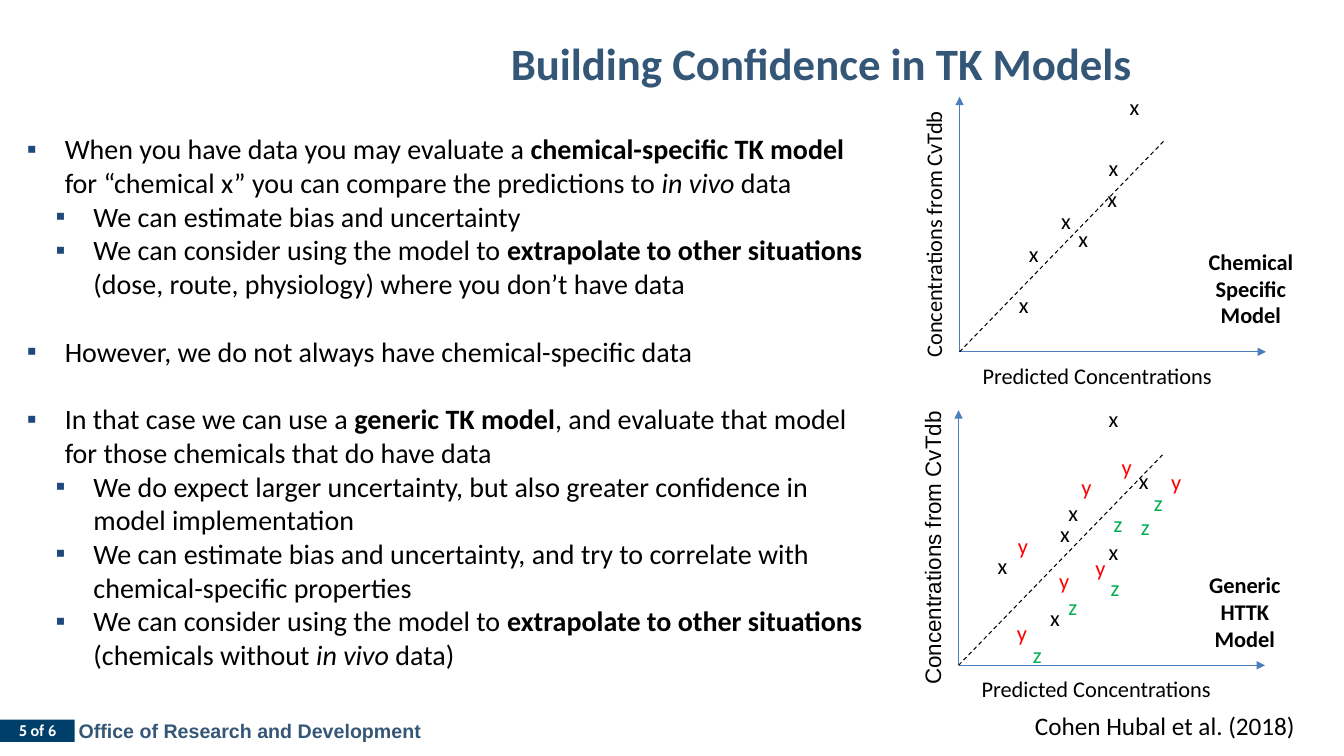
"""Build the slide on building confidence in TK models."""
import pptx
import pptx.dml.color
import pptx.enum.dml
import pptx.enum.shapes
import pptx.enum.text
import pptx.oxml
import pptx.oxml.ns
import pptx.util

Pt = pptx.util.Pt
RGB = pptx.dml.color.RGBColor
ALIGN = pptx.enum.text.PP_ALIGN
ANCHOR = pptx.enum.text.MSO_ANCHOR
AUTO = pptx.enum.text.MSO_AUTO_SIZE

BLACK, WHITE = RGB(0, 0, 0), RGB(255, 255, 255)
NAVY, SLATE = RGB(0x00, 0x3F, 0x69), RGB(0x35, 0x57, 0x77)
AXIS_BLUE, RED, GREEN = RGB(0x4B, 0x7E, 0xBC), RGB(255, 0, 0), RGB(0x00, 0xB0, 0x50)
BULLET_HEX = "1F497D"

BODY_SIZE, LINE_GAP = 20, 24.4
# (level, space before, runs of (text, style))
BULLETS = [
    (0, 0, [("When you have data you may evaluate a", ""), (" chemical-specific TK model", "b"),
            (" for “chemical x” you can compare the predictions to ", ""),
            ("in vivo", "i"), (" data", "")]),
    (1, 0, [("We can estimate bias and uncertainty", "")]),
    (1, 0, [("We can consider using the model to ", ""), ("extrapolate to other situations ", "b"),
            ("(dose, route, physiology) where you don’t have data", "")]),
    (0, LINE_GAP, [("However, we do not always have chemical-specific data", "")]),
    (0, LINE_GAP, [("In that case we can use a", ""), (" generic TK model", "b"),
                   (", and evaluate that model for those chemicals that do have data", "")]),
    (1, 0, [("We do expect larger uncertainty, but also greater confidence in "
             "model implementation", "")]),
    (1, 0, [("We can estimate bias and uncertainty, and try to correlate with "
             "chemical-specific properties", "")]),
    (1, 0, [("We can consider using the model to ", ""), ("extrapolate to other situations ", "b"),
            ("(chemicals without ", ""), ("in vivo", "i"), (" data)", "")]),
]

MARKER_COLORS = {"x": BLACK, "y": RED, "z": GREEN}
PANELS = [
    {"origin": (685.4, 251.3), "label": "Chemical Specific Model", "label_at": (153.4, 77.8),
     "y_font": "Calibri", "y_length": 193,
     "markers": {"x": [(99.4, 144.7), (98.6, 122.4), (42.5, 83.5), (65.5, 106.6),
                       (77.8, 94.3), (35.3, 46.8), (114.5, 188.6)]}},
    {"origin": (684.7, 475.2), "label": "Generic\nHTTK\nModel", "label_at": (149.8, 70.6),
     "y_font": "Arial", "y_length": 212.4,
     "markers": {"x": [(121.7, 145.4), (71.3, 122.4), (20.9, 84.2), (65.5, 107.3),
                       (100.1, 94.3), (58.3, 47.5), (100.1, 189.4)],
                 "y": [(34.6, 36.7), (35.3, 98.6), (64.8, 73.4), (90.7, 82.8),
                       (80.6, 141.1), (109.4, 154.8), (144.7, 144)],
                 "z": [(71.3, 55.4), (103.7, 114.5), (123.1, 112.3), (132.5, 129.6),
                       (101.5, 68.4), (46.1, 20.9)]}},
]
X_AXIS, Y_AXIS = (218.9, 0), (0, 182.2)
IDENTITY_LINE = (146.2, 150.8)
LABEL_H = 26.6


def add_text(shapes, box, text, size, font="Calibri", color=BLACK, bold=False,
             align=ALIGN.LEFT, wrap=False):
    sp = shapes.add_textbox(*map(Pt, box))
    tf = sp.text_frame
    tf.word_wrap = wrap
    tf.auto_size = AUTO.SHAPE_TO_FIT_TEXT
    tf.text = text
    for p in tf.paragraphs:
        p.alignment = align
        for r in p.runs:
            r.font.name, r.font.size, r.font.bold = font, Pt(size), bold
            r.font.color.rgb = color
    return sp


def add_line(shapes, origin, reach, color, arrow):
    x, y = origin
    cx = shapes.add_connector(pptx.enum.shapes.MSO_CONNECTOR.STRAIGHT,
                              Pt(x), Pt(y), Pt(x + reach[0]), Pt(y - reach[1]))
    cx.line.color.rgb, cx.line.width = color, Pt(0.75)
    if arrow:
        tail = pptx.oxml.parse_xml('<a:tailEnd %s type="triangle"/>' % pptx.oxml.ns.nsdecls("a"))
        cx.line._get_or_add_ln().append(tail)
    else:
        cx.line.dash_style = pptx.enum.dml.MSO_LINE.DASH
    cx._element.spPr.append(pptx.oxml.parse_xml("<a:effectLst %s/>" % pptx.oxml.ns.nsdecls("a")))


def add_bullets(shapes, box):
    sp = shapes.add_textbox(*map(Pt, box))
    tf = sp.text_frame
    tf.word_wrap = True
    for i, (level, gap, runs) in enumerate(BULLETS):
        p = tf.paragraphs[0] if i == 0 else tf.add_paragraph()
        p.level = level
        if gap:
            p.space_before = Pt(gap)
        ppr = p._p.get_or_add_pPr()
        ppr.set("marL", str(Pt(27 + 20.5 * level)))
        ppr.set("indent", str(-Pt(27)))
        for xml in ('<a:buClr %s><a:srgbClr val="' + BULLET_HEX + '"/></a:buClr>',
                    '<a:buFont %s typeface="Arial"/>', '<a:buChar %s char="▪"/>'):
            ppr.append(pptx.oxml.parse_xml(xml % pptx.oxml.ns.nsdecls("a")))
        for text, style in runs:
            r = p.add_run()
            r.text = text
            r.font.name, r.font.size = "Calibri", Pt(BODY_SIZE)
            r.font.bold, r.font.italic = style == "b", style == "i"
            r.font.color.rgb = BLACK


def add_panel(shapes, panel):
    x, y = panel["origin"]
    add_line(shapes, (x, y), X_AXIS, AXIS_BLUE, True)
    add_line(shapes, (x, y), Y_AXIS, AXIS_BLUE, True)
    add_line(shapes, (x, y), IDENTITY_LINE, BLACK, False)
    add_text(shapes, (x + 9.4, y + 3.6, 180.7, LABEL_H), "Predicted Concentrations", 16)
    length = panel["y_length"]
    sp = add_text(shapes, (x - 18.7 - length / 2, y - 85.3 - LABEL_H / 2, length, LABEL_H),
                  "Concentrations from CvTdb", 16, panel["y_font"])
    sp.rotation = 270
    for letter, places in panel["markers"].items():
        for dx, dy in places:
            add_text(shapes, (x + dx, y - dy, 21.6, LABEL_H), letter, 16,
                     color=MARKER_COLORS[letter])
    dx, dy = panel["label_at"]
    add_text(shapes, (x + dx, y - dy, 109.4, 65.5), panel["label"], 16, bold=True,
             align=ALIGN.CENTER, wrap=True)


def main():
    prs = pptx.Presentation()
    prs.slide_width, prs.slide_height = Pt(960), Pt(540)
    s = prs.slides.add_slide(prs.slide_layouts[6])

    badge = s.shapes.add_shape(pptx.enum.shapes.MSO_SHAPE.RECTANGLE,
                               Pt(-0.7), Pt(514.1), Pt(54), Pt(15.8))
    badge.shadow.inherit = False
    badge.fill.solid()
    badge.fill.fore_color.rgb = NAVY
    badge.line.fill.background()
    page = add_text(s.shapes, (-0.7, 516.2, 55.4, 12.2), "5 of 6", 11, "Cabin", WHITE, True,
                    ALIGN.CENTER, True)
    tf = page.text_frame
    tf.margin_left = tf.margin_right = tf.margin_top = tf.margin_bottom = 0
    tf.vertical_anchor = ANCHOR.BOTTOM
    tf.paragraphs[0].line_spacing = 0.9
    add_text(s.shapes, (49, 509.8, 260.6, 24.5), "Office of Research and Development", 14,
             "Arial", SLATE, True)

    title = add_text(s.shapes, (261.4, 21.6, 650.9, 90), "Building Confidence in TK Models", 32,
                     color=SLATE, bold=True, align=ALIGN.CENTER, wrap=True)
    title.text_frame.auto_size = AUTO.NONE
    add_bullets(s.shapes, (12.2, 90.7, 619.2, 395.3))
    for panel in PANELS:
        add_panel(s.shapes.add_group_shape().shapes, panel)
    add_text(s.shapes, (732.2, 504, 201.6, 28.8), "Cohen Hubal et al. (2018)", 18)
    prs.save("out.pptx")


if __name__ == "__main__":
    main()
